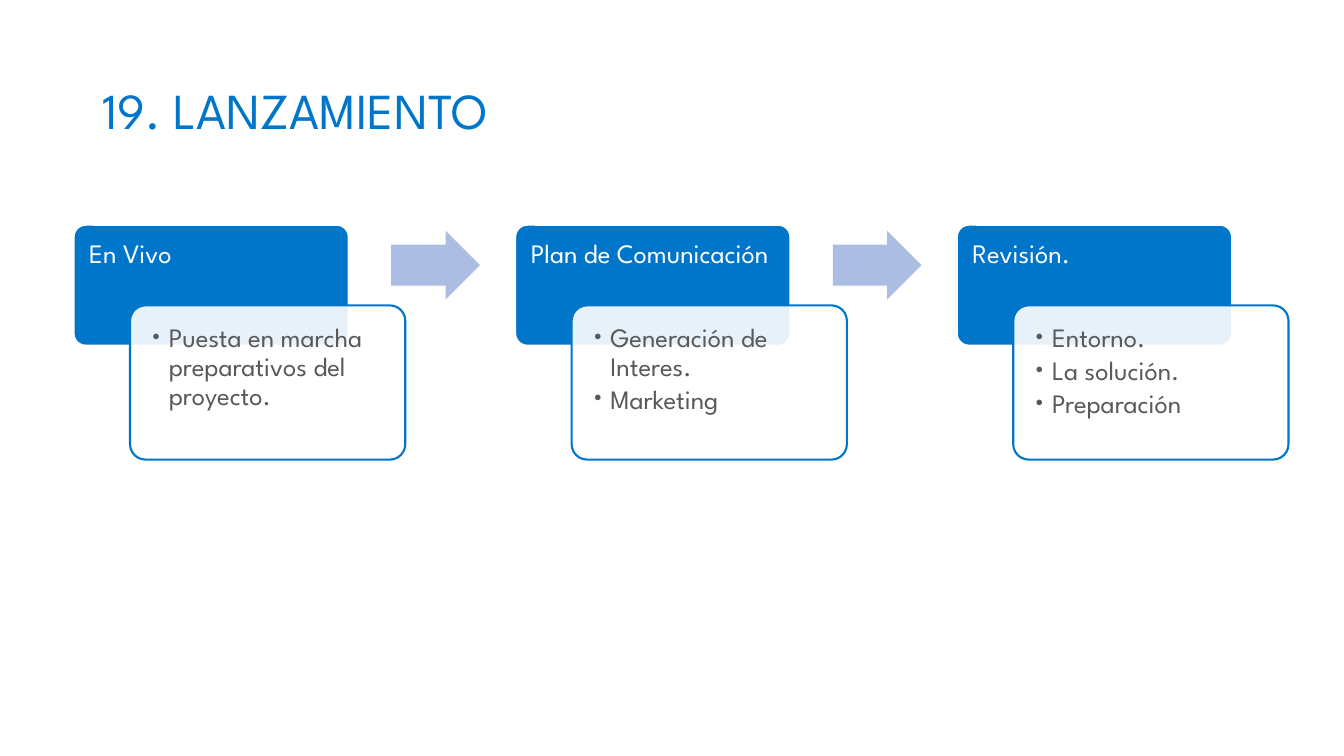
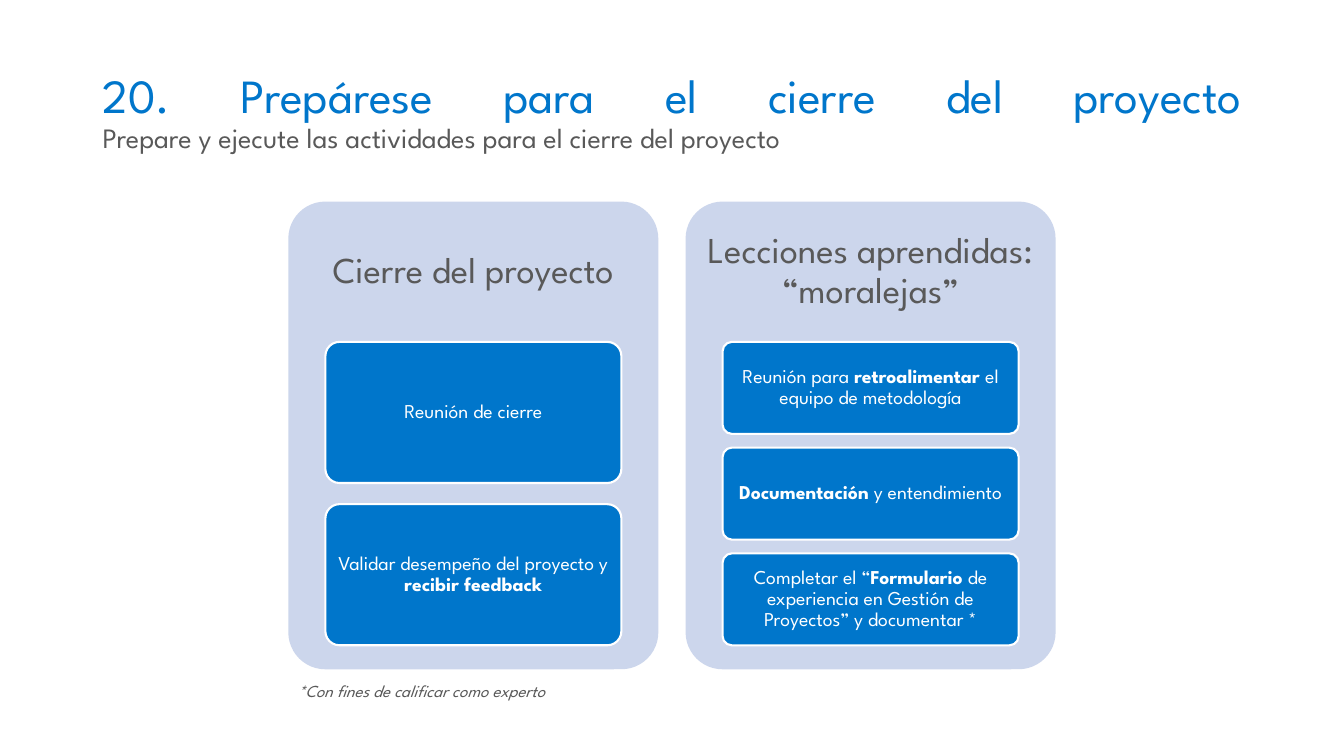
"""Build two slides on launching and closing a project."""
from lxml.etree import SubElement
from pptx import Presentation
from pptx.dml.color import RGBColor
from pptx.enum.shapes import MSO_SHAPE
from pptx.enum.text import MSO_ANCHOR, PP_ALIGN
from pptx.oxml.ns import qn
from pptx.util import Inches, Pt

FONT = "League Spartan"
BLUE, GRAY, WHITE = "0076CB", "595959", "FFFFFF"
ARROW, PANEL = "ABBDE2", "CCD6EC"
WIDTH, HEIGHT = 13.33, 7.5
CORNER = 0.1

LAUNCH_TITLE = "19. LANZAMIENTO"
STEPS = [
    ("En Vivo", ["Puesta en marcha preparativos del proyecto."]),
    ("Plan de Comunicación", ["Generación de Interes.", "Marketing"]),
    ("Revisión.", ["Entorno.", "La solución.", "Preparación"]),
]
CLOSING_TITLE = "20. Prepárese para el cierre del proyecto"
CLOSING_SUBTITLE = "Prepare y ejecute las actividades para el cierre del proyecto"
PANELS = [
    ("Cierre del proyecto",
     ["Reunión de cierre",
      "Validar desempeño del proyecto y |recibir feedback|"]),
    ("Lecciones aprendidas: “moralejas”",
     ["Reunión para |retroalimentar |el equipo de metodología",
      "|Documentación| y entendimiento",
      "Completar el “|Formulario| de experiencia en Gestión de Proyectos” y documentar *"]),
]
FOOTNOTE = "*Con fines de calificar como experto"


def rgb(color):
    """Turn a hex string into a colour."""
    return RGBColor.from_string(color)


def add_run(p, text, size, color, bold=False, italic=False):
    """Add one formatted run to a paragraph."""
    r = p.add_run()
    r.text = text
    f = r.font
    f.name, f.size, f.bold, f.italic = FONT, Pt(size), bold, italic
    f.color.rgb = rgb(color)


def write(sp, lines, size=19, color=WHITE, align=PP_ALIGN.LEFT, anchor=MSO_ANCHOR.TOP,
          insets=(0.1, 0.05, 0.1, 0.05), spacing=0.9, after=0, bullet=False, italic=False):
    """Fill a shape with paragraphs, where bars enclose bold words."""
    tf = sp.text_frame
    tf.word_wrap, tf.vertical_anchor = True, anchor
    tf.margin_left, tf.margin_top, tf.margin_right, tf.margin_bottom = map(Inches, insets)
    for i, line in enumerate(lines):
        p = tf.add_paragraph() if i else tf.paragraphs[0]
        p.alignment, p.line_spacing, p.space_after = align, spacing, Pt(after)
        if bullet:
            pPr = p._p.get_or_add_pPr()
            pPr.set("marL", str(Inches(0.19)))
            pPr.set("indent", str(Inches(-0.19)))
            SubElement(pPr, qn("a:buFont")).set("typeface", FONT)
            SubElement(pPr, qn("a:buChar")).set("char", "•")
        for j, part in enumerate(line.split("|")):
            if part:
                add_run(p, part, size, color, j % 2 == 1, italic)
    return tf


def add_box(s, x, y, w, h):
    """Add an empty text box."""
    return s.shapes.add_textbox(*map(Inches, (x, y, w, h)))


def add_block(s, kind, x, y, w, h, fill, line=None, adj=(CORNER,), opacity=None):
    """Add a flat filled shape."""
    sp = s.shapes.add_shape(kind, *map(Inches, (x, y, w, h)))
    sp.shadow.inherit = False
    for i, value in enumerate(adj):
        sp.adjustments[i] = value
    sp.fill.solid()
    sp.fill.fore_color.rgb = rgb(fill)
    if opacity:
        color = sp.fill._xPr.find(qn("a:solidFill"))[0]
        SubElement(color, qn("a:alpha")).set("val", str(opacity * 1000))
    if line:
        sp.line.color.rgb = rgb(line)
        sp.line.width = Pt(1.5)
    else:
        sp.line.fill.background()
    return sp


def add_slide(prs, title, size, align=PP_ALIGN.LEFT, subtitle=None):
    """Add a blank slide with its title."""
    s = prs.slides.add_slide(prs.slide_layouts[6])
    box = add_box(s, 0.92, 0.4, 11.5, 1.45)
    tf = write(box, [title], size, BLUE, align, MSO_ANCHOR.MIDDLE)
    if subtitle:
        p = tf.paragraphs[0]
        p.add_line_break()
        add_run(p, subtitle, 20, GRAY)
    return s


def build_launch(prs):
    """Draw the launch steps joined by arrows."""
    s = add_slide(prs, LAUNCH_TITLE, 36)
    left, top, w, pitch = 0.73, 2.23, 2.73, 4.38
    for i, (name, details) in enumerate(STEPS):
        x = left + i * pitch
        head = add_block(s, MSO_SHAPE.ROUNDED_RECTANGLE, x, top, w, 1.2, BLUE, WHITE)
        write(head, [name], insets=(0.12, 0.12, 0.11, 0.08))
        detail = add_block(s, MSO_SHAPE.ROUNDED_RECTANGLE, x + 0.56, top + 0.8, w, 1.53,
                           WHITE, BLUE, opacity=90)
        write(detail, details, color=GRAY, insets=(0.15,) * 4, after=3, bullet=True)
        if i < len(STEPS) - 1:
            add_block(s, MSO_SHAPE.RIGHT_ARROW, x + 3.15, top + 0.06, 0.88, 0.68,
                      ARROW, adj=(0.6, 0.5))


def build_closing(prs):
    """Draw the closing panels with their stacked cards."""
    s = add_slide(prs, CLOSING_TITLE, 34, PP_ALIGN.JUSTIFY, CLOSING_SUBTITLE)
    left, top, w, h, pitch = 2.86, 2, 3.67, 4.64, 3.94
    head, stack, gap_share = 0.3 * h, 3.01, 0.15
    centred = {"align": PP_ALIGN.CENTER, "anchor": MSO_ANCHOR.MIDDLE}
    for i, (name, cards) in enumerate(PANELS):
        x = left + i * pitch
        panel = add_block(s, MSO_SHAPE.ROUNDED_RECTANGLE, x, top, w, h, PANEL)
        write(panel, [name], 26, GRAY, insets=(0, 0, 0, h - head), **centred)
        card_h = stack / (len(cards) + (len(cards) - 1) * gap_share)
        for j, text in enumerate(cards):
            y = top + head + j * card_h * (1 + gap_share)
            card = add_block(s, MSO_SHAPE.ROUNDED_RECTANGLE, x + 0.1 * w, y, 0.8 * w, card_h,
                             BLUE, WHITE)
            write(card, [text], 14, insets=(0.04, 0.03, 0.04, 0.03), **centred)
    write(add_box(s, left, 6.7, 6.66, 0.3), [FOOTNOTE], 12, GRAY, spacing=1.0, italic=True)


def main():
    """Save the presentation."""
    prs = Presentation()
    prs.slide_width, prs.slide_height = Inches(WIDTH), Inches(HEIGHT)
    build_launch(prs)
    build_closing(prs)
    prs.save("out.pptx")


if __name__ == "__main__":
    main()
